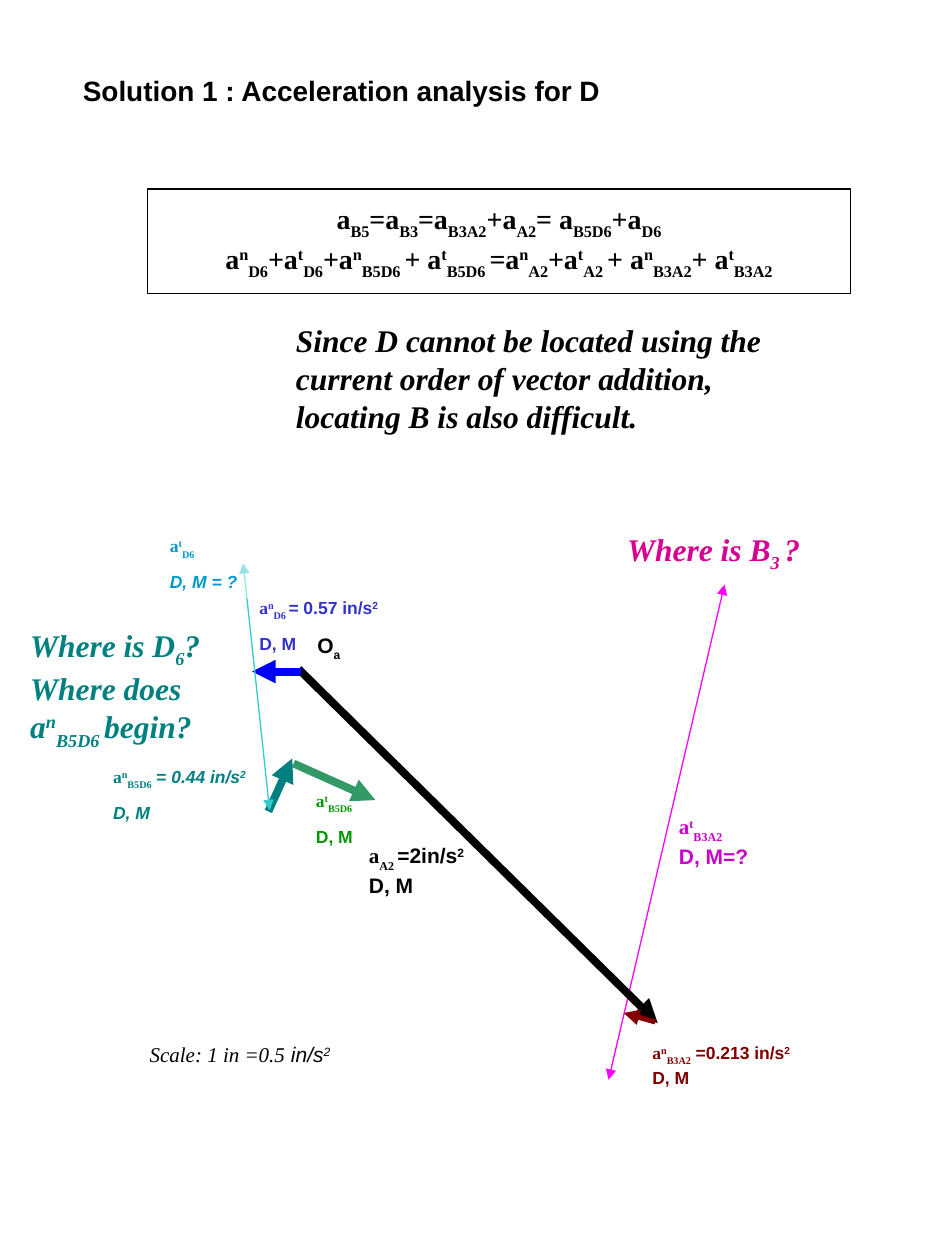
from lxml import etree
from pptx import Presentation
from pptx.dml.color import RGBColor
from pptx.enum.shapes import MSO_CONNECTOR, MSO_SHAPE
from pptx.enum.text import MSO_ANCHOR, PP_ALIGN
from pptx.oxml.ns import qn
from pptx.util import Inches, Pt

STRAIGHT = MSO_CONNECTOR.STRAIGHT
RECT = MSO_SHAPE.RECTANGLE
TOP, MIDDLE = MSO_ANCHOR.TOP, MSO_ANCHOR.MIDDLE
LEFT, CENTER = PP_ALIGN.LEFT, PP_ALIGN.CENTER
SANS, SERIF = "Arial", "Times New Roman"
BASELINE = {"^": "30000", "_": "-30000", "~": "-25000"}

COLORS = {
    "black": "000000", "white": "FFFFFF", "magenta": "FF00FF",
    "purple": "CC00CC", "maroon": "800000", "indigo": "3333CC",
    "blue": "0000FF", "teal": "008080", "turquoise": "33CCCC",
    "sky": "0099CC", "sea": "339966", "green": "009900", "pink": "D60093",
}


def add_text(box, lines, size, color, font=SERIF, bold=True, italic=False,
             gap=0, align=LEFT):
    """Runs are split by |. A leading ^ raises a run, _ or ~ lowers it,
    @ switches to Arial and / switches to italic from there on."""
    tf = box.text_frame
    tf.word_wrap = True
    tf.vertical_anchor = TOP
    for i, line in enumerate(lines):
        p = tf.paragraphs[0] if i == 0 else tf.add_paragraph()
        p.alignment = align
        if i:
            p.space_before = Pt(gap)
        for part in line.split("|"):
            baseline = None
            while part[0] in "^_~@/":
                mark, part = part[0], part[1:]
                if mark == "@":
                    font = SANS
                elif mark == "/":
                    italic = True
                else:
                    baseline = BASELINE[mark]
            r = p.add_run()
            r.text = part
            r.font.name, r.font.size = font, Pt(size)
            r.font.bold, r.font.italic = bold, italic
            r.font.color.rgb = RGBColor.from_string(COLORS[color])
            if baseline:
                r._r.get_or_add_rPr().set("baseline", baseline)
    return tf


def add_arrow(x1, y1, x2, y2, color, width, both=False):
    c = s.shapes.add_connector(STRAIGHT, Inches(x1), Inches(y1), Inches(x2), Inches(y2))
    c.line.color.rgb = RGBColor.from_string(COLORS[color])
    c.line.width = Pt(width)
    spPr = c._element.spPr
    for end in ["headEnd", "tailEnd"] if both else ["tailEnd"]:
        etree.SubElement(spPr.find(qn("a:ln")), qn("a:" + end), type="triangle")
    etree.SubElement(spPr, qn("a:effectLst"))


prs = Presentation()
prs.slide_width, prs.slide_height = Inches(7.5), Inches(10)
s = prs.slides.add_slide(prs.slide_layouts[6])

# Title
box = s.shapes.add_textbox(Inches(0.56), Inches(0.44), Inches(6.37), Inches(0.56))
tf = add_text(box, ["Solution 1 : Acceleration analysis for D"], 16, "black", SANS)
tf.vertical_anchor = MIDDLE

# Acceleration vectors
add_arrow(4.83, 8.57, 5.75, 4.64, "magenta", 0.75, both=True)
add_arrow(2.37, 5.31, 5.22, 8.12, "black", 4.5)
add_arrow(5.2, 8.11, 4.95, 8.04, "maroon", 3)
add_arrow(2.39, 5.33, 2, 5.33, "blue", 4.5)
add_arrow(2.13, 6.44, 2.32, 6.02, "teal", 4.5)
add_arrow(1.93, 4.47, 2.14, 6.43, "turquoise", 0.75, both=True)
add_arrow(2.33, 6.06, 2.98, 6.35, "sea", 4.5)

# Vector labels: left, top, width, height, lines, size, colour, paragraph gap
LABELS = [
    (2.42, 4.97, 0.5, 0.37, ["@O|_a"], 12, "black", 0),
    (5.29, 6.41, 1.46, 0.62, ["a|^t|_B3A2", "@D, M=?"], 12, "purple", 0),
    (2.83, 6.64, 1, 0.5, ["a|_A2 |@=2in/s|^2", "D, M"], 12, "black", 0),
    (5.08, 8.22, 1.67, 0.48, ["a|^n|_B3A2|@ =0.213 in/s|^2", "D, M"], 10, "maroon", 0),
    (1.96, 4.69, 1.21, 0.55, ["a|^n|_D6 |@= 0.57 in/s|^2", "D, M"], 10, "indigo", 6.2),
    (2.41, 6.22, 0.67, 0.55, ["a|^t|_B5D6", "@D, M"], 10, "green", 6.2),
]
for x, y, w, h, lines, size, color, gap in LABELS:
    box = s.shapes.add_textbox(Inches(x), Inches(y), Inches(w), Inches(h))
    add_text(box, lines, size, color, gap=gap)

# Half-transparent panels: two labels and the framed equations
EQUATIONS = [
    "a|_B5|=a|_B3|=a|_B3A2|+a|_A2|= a|_B5D6|+a|_D6",
    "a|^n|_D6|+a|^t|_D6|+a|^n|_B5D6 |+ a|^t|_B5D6 |=a|^n|_A2|+a|^t|_A2 "
    "|+ a|^n|_B3A2|+ a|^t|_B3A2",
]
PANELS = [
    (0.8, 6.03, 1.27, 0.55, ["a|^n|_B5D6|@ = |/0.44 in/s|^2", "D, M"], 10, "teal", 6.2),
    (1.25, 4.2, 0.75, 0.55, ["a|^t|_D6", "@/D, M = ?"], 10, "sky", 6.2),
    (1.17, 1.5, 5.58, 0.83, EQUATIONS, 16, "black", 0),
]
for x, y, w, h, lines, size, color, gap in PANELS:
    sp = s.shapes.add_shape(RECT, Inches(x), Inches(y), Inches(w), Inches(h))
    sp.shadow.inherit = False
    sp.fill.solid()
    sp.fill.fore_color.rgb = RGBColor.from_string(COLORS["white"])
    rgb = sp._element.spPr.find(qn("a:solidFill")).find(qn("a:srgbClr"))
    etree.SubElement(rgb, qn("a:alpha"), val="50000")
    framed = lines is EQUATIONS
    tf = add_text(sp, lines, size, color, gap=gap, align=CENTER if framed else LEFT)
    if framed:
        sp.line.color.rgb = RGBColor.from_string(COLORS["black"])
        sp.line.width = Pt(0.75)
        tf.margin_left = tf.margin_right = 0
        tf.margin_top = tf.margin_bottom = Inches(0.1)
    else:
        sp.line.fill.background()

# Scale
box = s.shapes.add_textbox(Inches(1.09), Inches(8.22), Inches(1.8), Inches(0.3))
add_text(box, ["Scale: 1 in =0.5|@ in/s|^2"], 12, "black", bold=False, italic=True)

# Remarks and questions
REMARKS = [
    (2.25, 2.5, 3.92, 1, "Since D cannot be located using the current order of "
     "vector addition, locating B is also difficult.", "black"),
    (4.88, 4.16, 1.76, 0.44, "Where is B|~3 |?", "pink"),
    (0.14, 4.92, 1.72, 1.1, "Where is D|~6|? Where does a|^n|_B5D6 |begin?", "teal"),
]
for x, y, w, h, line, color in REMARKS:
    box = s.shapes.add_textbox(Inches(x), Inches(y), Inches(w), Inches(h))
    add_text(box, [line], 18, color, italic=True)

prs.save("out.pptx")
